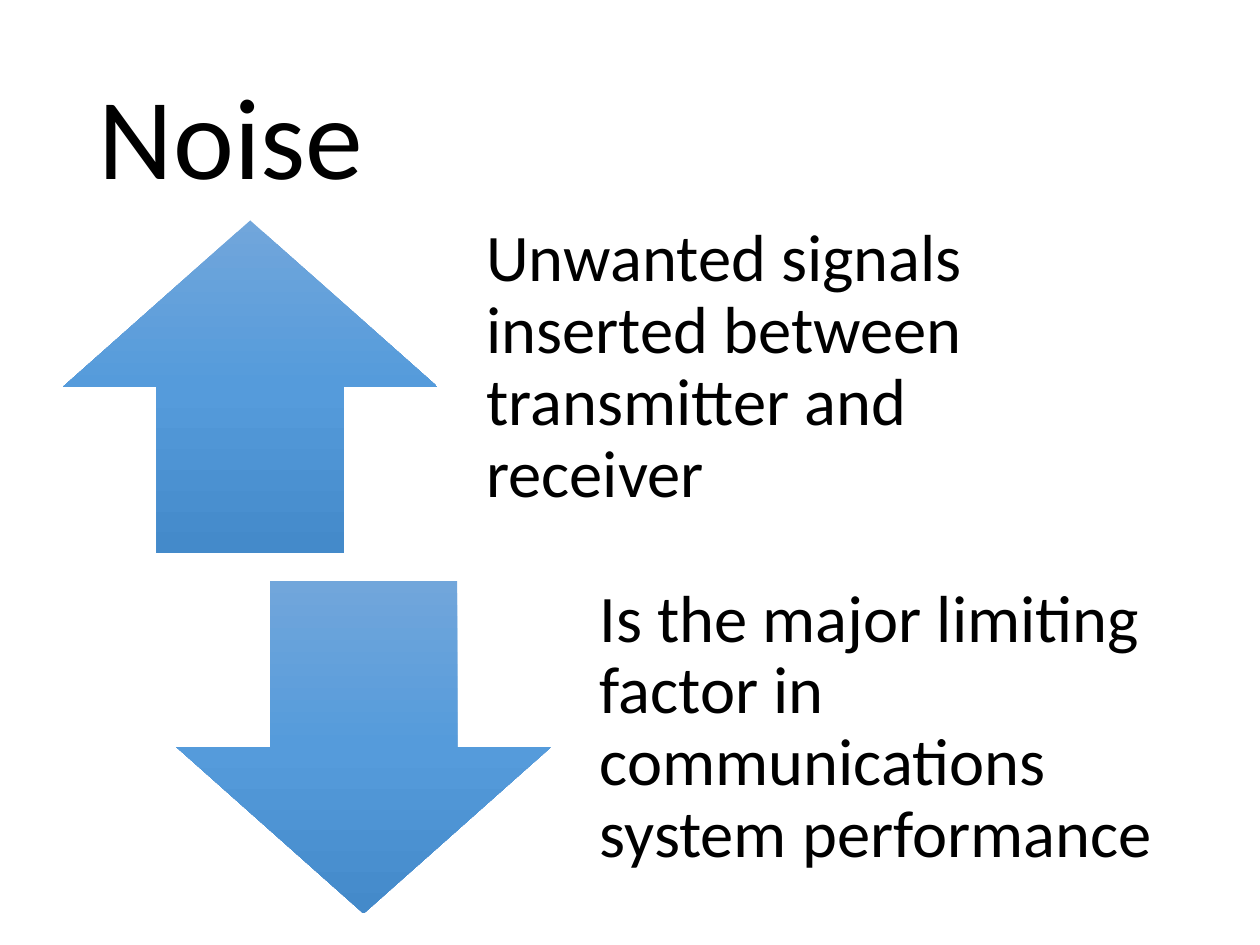
from copy import deepcopy
from dataclasses import dataclass

from pptx import Presentation
from pptx.dml.color import RGBColor
from pptx.enum.shapes import MSO_SHAPE
from pptx.enum.text import MSO_ANCHOR
from pptx.oxml.ns import qn
from pptx.util import Pt

ARROW_W, ROW_H, TEXT_W = 214, 190.1, 362.9
TEXT_OFFSET = 220.3
GRADIENT = ("71A6DB", "559BDB", "448ACA")


@dataclass
class Point:
    """An arrow with the statement beside it."""
    arrow: MSO_SHAPE
    left: float
    top: float
    text: str


POINTS = [
    Point(MSO_SHAPE.UP_ARROW, 36, 126,
          "Unwanted signals inserted between transmitter and receiver"),
    Point(MSO_SHAPE.DOWN_ARROW, 100.8, 331.9,
          "Is the major limiting factor in communications system performance"),
]


def rgb(code: str) -> RGBColor:
    """Turn a hex string into a colour."""
    return RGBColor.from_string(code)


def add_text(slide, text: str, *, left: float, top: float, width: float,
             height: float, size: float, insets: tuple = (7.2, 3.6, 7.2, 3.6),
             color: str = "000000", font: str = "Calibri") -> None:
    """Add a wrapped, vertically centred text box."""
    tf = slide.shapes.add_textbox(Pt(left), Pt(top), Pt(width), Pt(height)).text_frame
    tf.word_wrap = True
    tf.vertical_anchor = MSO_ANCHOR.MIDDLE
    tf.margin_left, tf.margin_top, tf.margin_right, tf.margin_bottom = map(Pt, insets)
    p = tf.paragraphs[0]
    p.line_spacing = 0.9
    r = p.add_run()
    r.text = text
    r.font.name, r.font.size = font, Pt(size)
    r.font.color.rgb = rgb(color)


def add_arrow(slide, point: Point) -> None:
    """Add a block arrow with a top-to-bottom gradient."""
    s = slide.shapes.add_shape(point.arrow, Pt(point.left), Pt(point.top),
                               Pt(ARROW_W), Pt(ROW_H))
    s.shadow.inherit = False
    s.line.fill.background()
    s.fill.gradient()
    s.fill.gradient_angle = 270
    stops = s._element.spPr.find(qn("a:gradFill")).find(qn("a:gsLst"))
    stops.append(deepcopy(stops[-1]))
    for i, (stop, color) in enumerate(zip(s.fill.gradient_stops, GRADIENT)):
        stop.position = i / (len(GRADIENT) - 1)
        stop.color.rgb = rgb(color)


def add_point(slide, point: Point) -> None:
    """Add an arrow and its statement."""
    add_arrow(slide, point)
    add_text(slide, point.text, left=point.left + TEXT_OFFSET, top=point.top,
             width=TEXT_W, height=ROW_H, size=38, insets=(21.6, 0, 21.6, 21.6))


def main() -> None:
    """Build and save the slide."""
    prs = Presentation()
    prs.slide_width, prs.slide_height = Pt(720), Pt(540)
    slide = prs.slides.add_slide(prs.slide_layouts[6])
    add_text(slide, "Noise", left=49.5, top=28.8, width=621, height=104.4, size=66)
    for point in POINTS:
        add_point(slide, point)
    prs.save("out.pptx")


if __name__ == "__main__":
    main()
